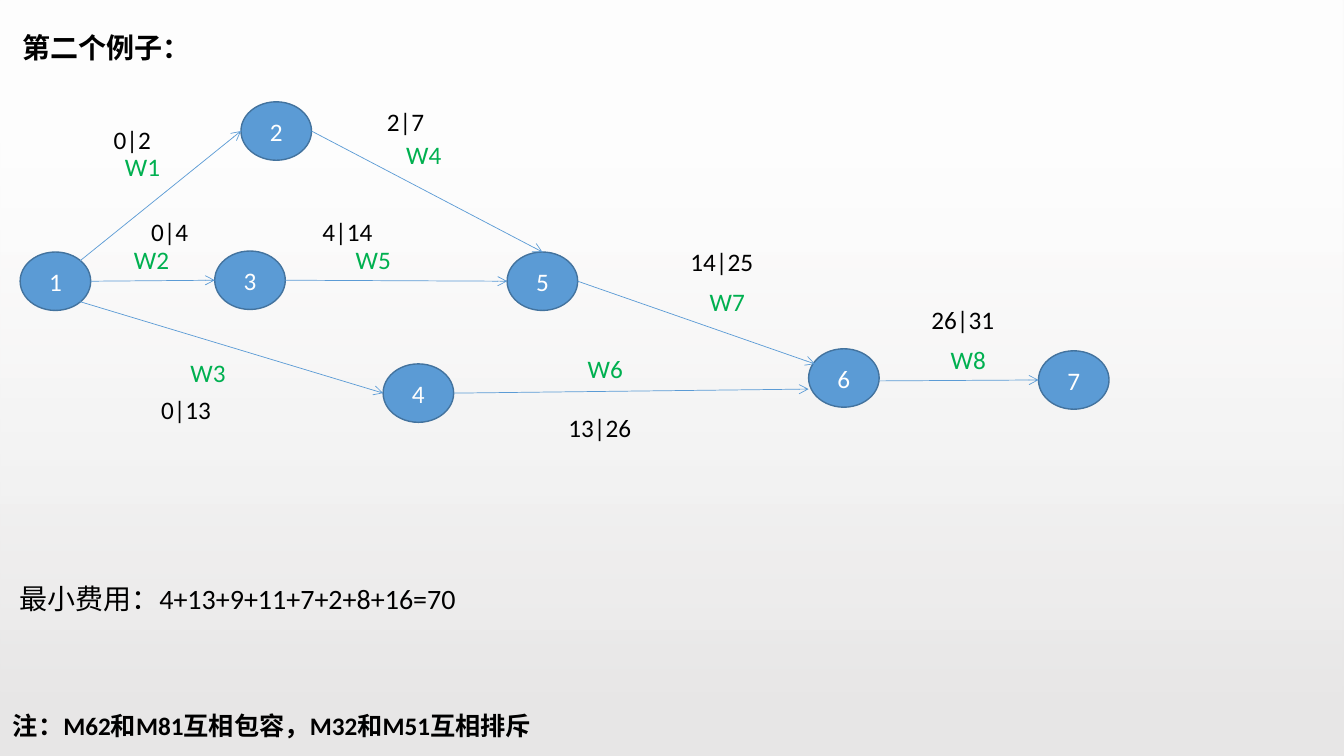
from lxml.etree import SubElement
from pptx import Presentation
from pptx.dml.color import RGBColor
from pptx.enum.shapes import MSO_CONNECTOR, MSO_SHAPE
from pptx.enum.text import MSO_ANCHOR, MSO_AUTO_SIZE, PP_ALIGN
from pptx.oxml.ns import qn
from pptx.util import Inches, Pt

COLORS = {
    "node": "5B9BD5", "outline": "43739E", "white": "FFFFFF", "black": "000000",
    "job": "00B050", "top": "F2F2F2", "bottom": "E7E6E6",
}
SLIDE_W, SLIDE_H = 13.33, 7.5
NODE_W, NODE_H = 0.7, 0.58

# Event number: left and top inside the network
EVENTS = {
    1: (0, 1.49), 2: (2.19, 0), 3: (1.93, 1.48), 4: (3.6, 2.6),
    5: (4.83, 1.49), 6: (7.82, 2.45), 7: (10.1, 2.47),
}

# Points on an event's outline, as fractions of its width and height
TOP, LEFT, RIGHT = (0.5, 0), (0, 0.5), (1, 0.5)
UPPER_RIGHT, LOWER_RIGHT = (0.85, 0.15), (0.85, 0.85)
UPPER_LEFT, LOWER_LEFT = (0.09, 0.26), (0, 0.69)

# Job, start event and point, end event and point, job place, times, times place
JOBS = [
    ("W1", 1, UPPER_RIGHT, 2, LEFT, (0.94, 0.44), "0|2", (0.83, 0.17)),
    ("W2", 1, RIGHT, 3, LEFT, (1.03, 1.36), "0|4", (1.2, 1.09)),
    ("W3", 1, LOWER_RIGHT, 4, LEFT, (1.59, 2.49), "0|13", (1.3, 2.85)),
    ("W4", 2, RIGHT, 5, TOP, (3.73, 0.32), "2|7", (3.54, 0)),
    ("W5", 3, RIGHT, 5, LEFT, (3.23, 1.36), "4|14", (2.9, 1.09)),
    ("W6", 4, RIGHT, 6, LOWER_LEFT, (5.53, 2.45), "13|26", (5.34, 3.03)),
    ("W7", 5, RIGHT, 6, UPPER_LEFT, (6.74, 1.78), "14|25", (6.55, 1.38)),
    ("W8", 6, (1, 0.55), 7, LEFT, (9.13, 2.36), "26|31", (8.94, 1.96)),
]


def rgb(name):
    return RGBColor.from_string(COLORS[name])


def write(shape, text, size=18, color="black", bold=False,
          align=PP_ALIGN.LEFT, anchor=MSO_ANCHOR.TOP):
    frame = shape.text_frame
    frame.word_wrap = True
    frame.vertical_anchor = anchor
    paragraph = frame.paragraphs[0]
    paragraph.alignment = align
    run = paragraph.add_run()
    run.text = text
    run.font.name = "Calibri"
    run.font.size = Pt(size)
    run.font.bold = bold
    run.font.color.rgb = rgb(color)


def add_label(slide, box, text, **style):
    label = slide.shapes.add_textbox(*map(Inches, box))
    write(label, text, **style)
    label.text_frame.auto_size = MSO_AUTO_SIZE.SHAPE_TO_FIT_TEXT


def fill_down(fill, first, last):
    fill.gradient()
    fill.gradient_angle = 270
    for stop, (color, position) in zip(fill.gradient_stops, (first, last)):
        stop.color.rgb = rgb(color)
        stop.position = position


def draw_background(slide, box):
    fill_down(slide.background.fill, ("top", 0), ("bottom", 1))
    # White veil that fades out downwards, behind everything else
    veil = slide.shapes.add_shape(MSO_SHAPE.RECTANGLE, *map(Inches, box))
    veil.shadow.inherit = False
    veil.line.fill.background()
    fill_down(veil.fill, ("white", 0.19), ("white", 1))
    stops = veil._element.spPr.iter(qn("a:srgbClr"))
    for stop, opacity in zip(stops, (91000, 0)):
        SubElement(stop, qn("a:alpha")).set("val", str(opacity))
    veil._element.getparent().insert(2, veil._element)


def draw_title(slide, box, text):
    title = slide.shapes.title
    title.left, title.top, title.width, title.height = map(Inches, box)
    write(title, text, size=20, bold=True)
    title.text_frame.auto_size = MSO_AUTO_SIZE.NONE


def draw_arrow(slide, start, end):
    arrow = slide.shapes.add_connector(
        MSO_CONNECTOR.STRAIGHT, *map(Inches, (*start, *end)))
    arrow.line.color.rgb = rgb("node")
    arrow.line.width = Pt(0.5)
    SubElement(arrow.line._get_or_add_ln(), qn("a:tailEnd")).set("type", "arrow")
    SubElement(arrow._element.spPr, qn("a:effectLst"))


def draw_event(slide, left, top, number):
    event = slide.shapes.add_shape(
        MSO_SHAPE.OVAL, *map(Inches, (left, top, NODE_W, NODE_H)))
    event.shadow.inherit = False
    event.fill.solid()
    event.fill.fore_color.rgb = rgb("node")
    event.line.color.rgb = rgb("outline")
    event.line.width = Pt(1)
    write(event, str(number), color="white",
          align=PP_ALIGN.CENTER, anchor=MSO_ANCHOR.MIDDLE)


def draw_network(slide, left, top):
    def place(offset):
        return left + offset[0], top + offset[1]

    def outline_point(number, fraction):
        x, y = place(EVENTS[number])
        return x + fraction[0] * NODE_W, y + fraction[1] * NODE_H

    for number, offset in EVENTS.items():
        draw_event(slide, *place(offset), number)
    for job, start, leave, end, enter, job_at, times, times_at in JOBS:
        draw_arrow(slide, outline_point(start, leave), outline_point(end, enter))
        add_label(slide, (*place(job_at), 0.61, 0.4), job, color="job")
        add_label(slide, (*place(times_at), 1, 0.4), times)


def main():
    presentation = Presentation()
    presentation.slide_width = Inches(SLIDE_W)
    presentation.slide_height = Inches(SLIDE_H)
    slide = presentation.slides.add_slide(presentation.slide_layouts[5])

    draw_background(slide, (0, 0, SLIDE_W, 7.1))
    draw_title(slide, (0.12, 0.25, 2.64, 0.44), "第二个例子：")
    draw_network(slide, 0.2, 1.01)
    # Total cost and remark
    add_label(slide, (0.09, 5.72, 8.29, 0.44),
              "最小费用：4+13+9+11+7+2+8+16=70", size=20)
    add_label(slide, (0.03, 7, 6.71, 0.4),
              "注：M62和M81互相包容，M32和M51互相排斥", bold=True)
    presentation.save("out.pptx")


if __name__ == "__main__":
    main()
